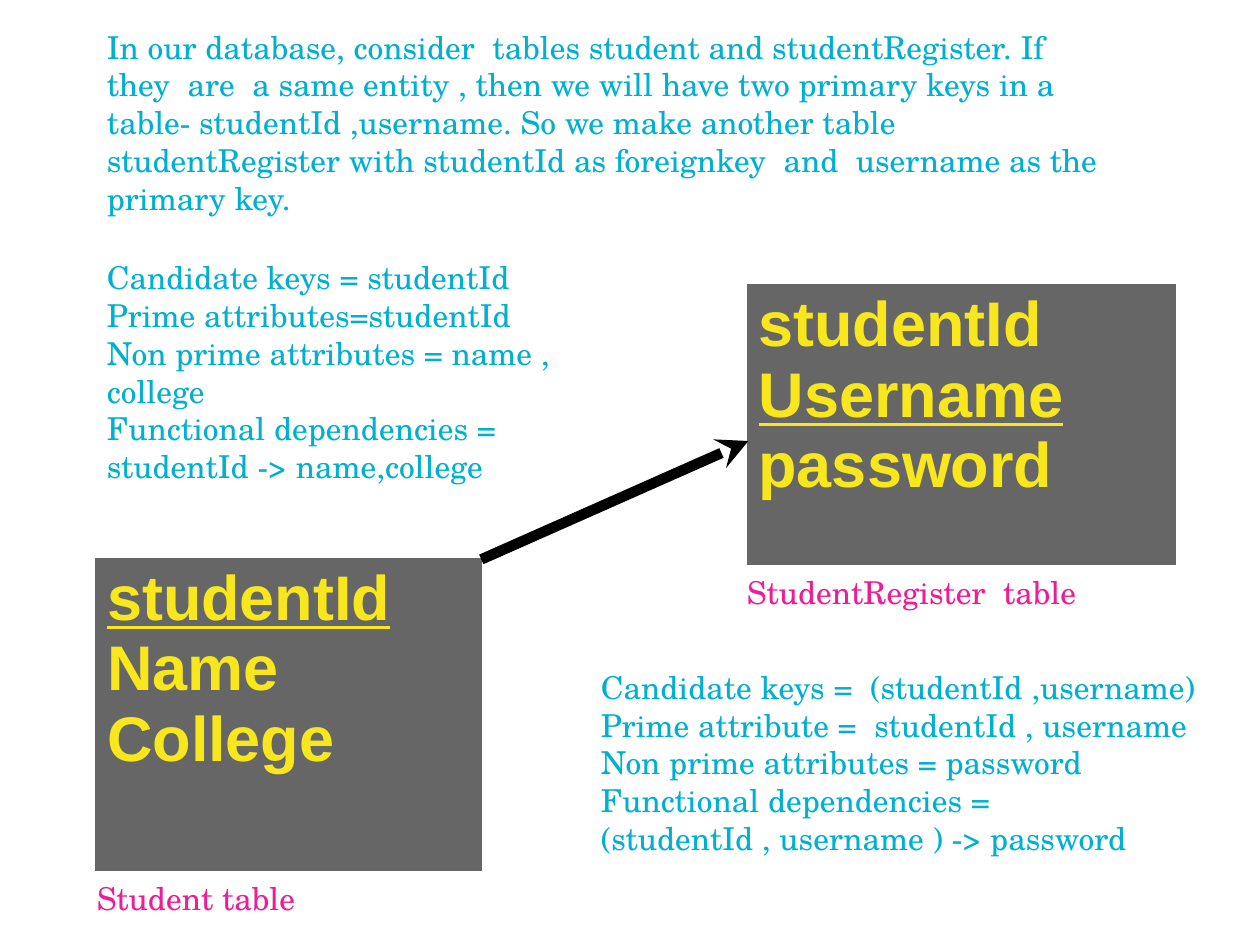
from lxml.etree import SubElement
from pptx import Presentation
from pptx.dml.color import RGBColor
from pptx.enum.shapes import MSO_CONNECTOR as Connector
from pptx.oxml.ns import qn
from pptx.util import Inches, Pt

CYAN = RGBColor(0x01, 0xAF, 0xD1)
PINK = RGBColor(0xEB, 0x1E, 0x95)
YELLOW = RGBColor(0xF8, 0xE7, 0x1C)
GRAY = RGBColor(0x66, 0x66, 0x66)
BLACK = RGBColor(0, 0, 0)
BORDER = "FFFFFF"
BODY_FONT, TABLE_FONT = "TeX Gyre Schola", "Arial"


def format_text(frame, font_name, size, color):
    for para in frame.paragraphs:
        for span in para.runs:
            span.font.name = font_name
            span.font.size = Pt(size)
            span.font.color.rgb = color


def add_text(slide, left, top, width, height, lines, color=CYAN):
    box = slide.shapes.add_textbox(*map(Inches, (left, top, width, height)))
    frame = box.text_frame
    frame.word_wrap = True
    frame.text = "\n".join(lines)
    format_text(frame, BODY_FONT, 18, color)


def set_borders(cell):
    properties = cell._tc.get_or_add_tcPr()
    for side, width in (("L", 1), ("R", 1), ("T", 1), ("B", 3)):
        line = SubElement(properties, qn(f"a:ln{side}"), w=str(Pt(width)))
        fill = SubElement(line, qn("a:solidFill"))
        SubElement(fill, qn("a:srgbClr"), val=BORDER)


def add_entity(slide, left, top, width, height, fields, key):
    """Draw an entity as a one-cell table with its key underlined."""
    bounds = map(Inches, (left, top, width, height))
    cell = slide.shapes.add_table(1, 1, *bounds).table.cell(0, 0)
    set_borders(cell)
    cell.fill.solid()
    cell.fill.fore_color.rgb = GRAY
    frame = cell.text_frame
    frame.text = "\n".join(fields)
    format_text(frame, TABLE_FONT, 36, YELLOW)
    for para in frame.paragraphs:
        font = para.runs[0].font
        font.bold = True
        font.underline = para.text == key


def add_arrow(slide, start, end):
    points = map(Inches, (*start, *end))
    arrow = slide.shapes.add_connector(Connector.STRAIGHT, *points)
    arrow.line.color.rgb = BLACK
    arrow.line.width = Pt(6)
    SubElement(arrow.line._get_or_add_ln(), qn("a:tailEnd"), type="stealth")
    SubElement(arrow._element.spPr, qn("a:effectLst"))


def main():
    deck = Presentation()
    deck.slide_width, deck.slide_height = Inches(10), Inches(7.5)
    slide = deck.slides.add_slide(deck.slide_layouts[6])

    # Introduction
    add_text(slide, 0.75, 0.17, 8.08, 1.31, [
        "In our database, consider  tables student and studentRegister. "
        "If they  are  a same entity , then we will have two primary keys "
        "in a table- studentId ,username. So we make another table "
        "studentRegister with studentId as foreignkey  and  username as "
        "the primary key."])

    # Entities and the reference between them
    add_entity(slide, 0.75, 4.42, 3.08, 2.51,
               ["studentId", "Name", "College"], key="studentId")
    add_entity(slide, 5.92, 2.25, 3.42, 2.25,
               ["studentId", "Username", "password"], key="Username")
    add_arrow(slide, (3.82, 4.44), (5.94, 3.5))

    # Captions
    add_text(slide, 0.67, 6.93, 2.58, 0.4, ["Student table"], PINK)
    add_text(slide, 5.83, 4.5, 3.66, 0.4, ["StudentRegister  table"], PINK)

    # Keys and dependencies
    add_text(slide, 0.75, 2, 3.83, 2.22, [
        "Candidate keys = studentId",
        "Prime attributes=studentId",
        "Non prime attributes = name , college",
        "Functional dependencies =",
        "studentId -> name,college"])
    add_text(slide, 4.67, 5.25, 5.18, 1.62, [
        "Candidate keys =  (studentId ,username)",
        "Prime attribute =  studentId , username",
        "Non prime attributes = password",
        "Functional dependencies =",
        "(studentId , username ) -> password"])

    deck.save("out.pptx")


if __name__ == "__main__":
    main()
